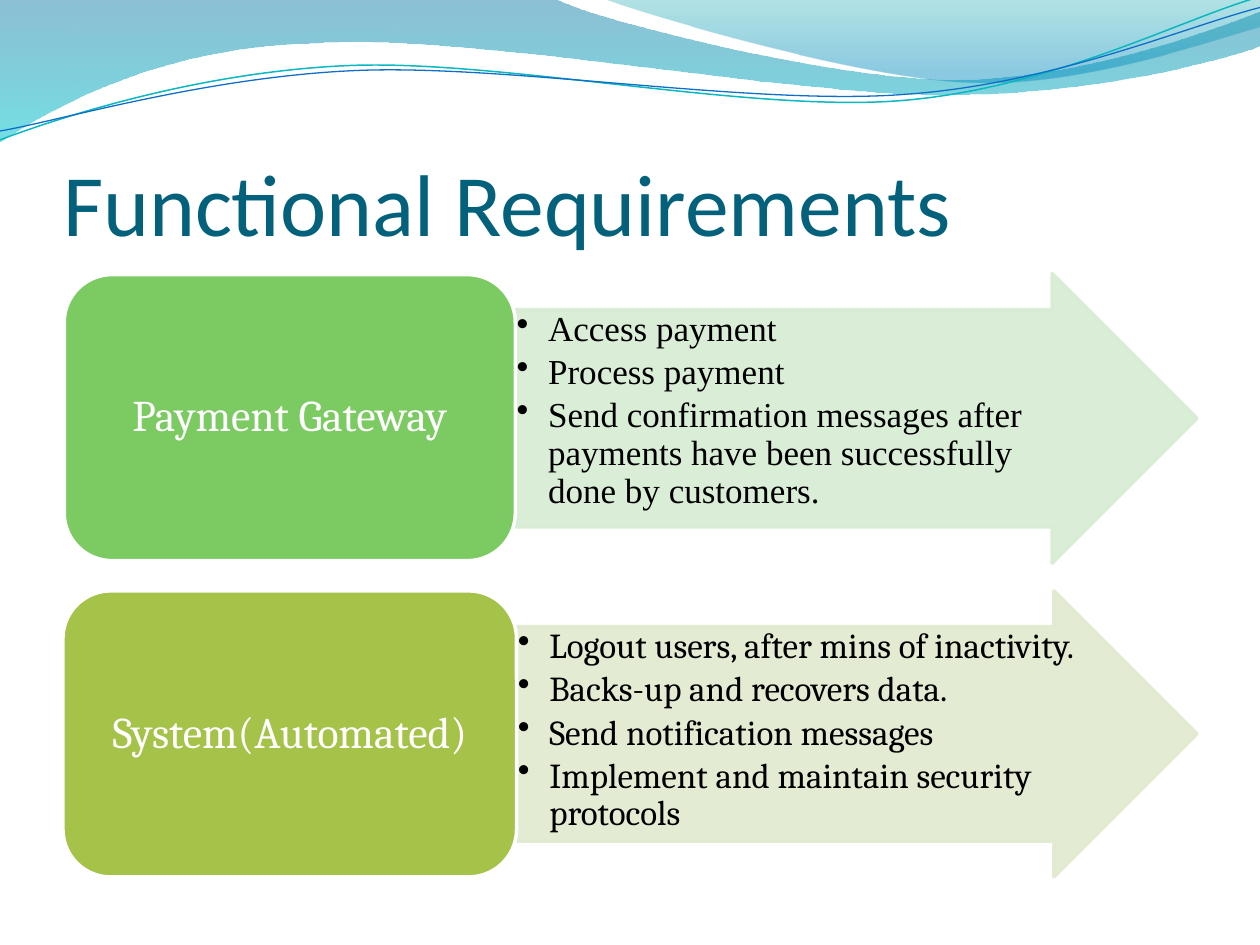
from dataclasses import dataclass
from math import cos, radians, sin

from lxml import etree
from pptx import Presentation
from pptx.dml.color import RGBColor
from pptx.enum.shapes import MSO_SHAPE
from pptx.enum.text import MSO_ANCHOR, PP_ALIGN
from pptx.oxml.ns import qn
from pptx.util import Inches, Pt

ARROW, ROUNDED = MSO_SHAPE.RIGHT_ARROW, MSO_SHAPE.ROUNDED_RECTANGLE
TOP, MIDDLE, BOTTOM = MSO_ANCHOR.TOP, MSO_ANCHOR.MIDDLE, MSO_ANCHOR.BOTTOM
LEFT, CENTER = PP_ALIGN.LEFT, PP_ALIGN.CENTER
STRAND_TILT = -2.7


@dataclass(frozen=True)
class Theme:
    title: str = "04617B"
    body: str = "000000"
    light: str = "FFFFFF"
    teal_line: str = "0AB8BF"
    blue_line: str = "0F6FC6"
    title_font: str = "Calibri"
    label_font: str = "Cambria"
    title_size: float = 50
    label_size: float = 25
    body_size: float = 20
    outline: float = 2


THEME = Theme()

WAVES = [
    ([(0, 0), (4.4, -0.01), (4.76, 0.17, 6.64, 0.63, 7.58, 0.63),
      (8.53, 0.63, 9.58, 0.26, 10, 0.09), (10.01, 0.36),
      (9.83, 0.44, 8.7, 0.76, 7.46, 0.75), (6.22, 0.75, 3.82, 0.28, 2.57, 0.34),
      (1.29, 0.36, 0.46, 0.83, -0.01, 1.13), (0, 0)],
     [(0, "0074A1", 45), (1, "00C6CF", 55)]),
    ([(4.79, -0.01), (5.09, 0.11, 6.82, 0.62, 7.69, 0.65),
      (8.56, 0.69, 9.61, 0.32, 10, 0.21), (10, 0), (4.79, -0.01)],
     [(0, "00A1A9", 30), (0.8, "008BBF", 45)]),
]
STRANDS = [
    ([(0, 1.11), (0.48, 0.93, 1.58, 0.57, 2.77, 0.52),
      (3.95, 0.47, 5.93, 0.89, 7.13, 0.8), (8.33, 0.71, 9.38, 0.15, 9.98, -0.02)],
     (4.99, 0.57), THEME.teal_line, 0.85),
    ([(0, 1.04), (0.47, 0.96, 1.64, 0.61, 2.83, 0.56),
      (4.03, 0.51, 5.97, 0.84, 7.17, 0.75), (8.36, 0.67, 9.41, 0.21, 10, 0.06)],
     (5, 0.59), THEME.blue_line, 0.75),
]
ROWS = [
    dict(label="Payment Gateway", color="7CCA62", tint="D7ECD3", font="Times New Roman",
         block=(0.51, 2.18, 3.58, 2.27), arrow=(4.09, 2.17, 5.41, 2.3),
         items=["Access payment", "Process payment",
                "Send confirmation messages after payments have been "
                "successfully done by customers."]),
    dict(label="System(Automated)", color="A5C249", tint="E1E9CF", font="Cambria",
         block=(0.5, 4.69, 3.6, 2.27), arrow=(4.1, 4.69, 5.4, 2.27),
         items=["Logout users, after mins of inactivity.", "Backs-up and recovers data.",
                "Send notification messages",
                "Implement and maintain security protocols"]),
]


def rgb(value):
    return RGBColor.from_string(value)


def set_alpha(shape, percents):
    for color, percent in zip(shape.element.spPr.iter(qn("a:srgbClr")), percents):
        etree.SubElement(color, qn("a:alpha"), val=str(percent * 1000))


def pairs(segment):
    return list(zip(segment[::2], segment[1::2]))


def turn(segment, center, angle):
    c, s = cos(radians(angle)), sin(radians(angle))
    turned = []
    for x, y in pairs(segment):
        dx, dy = x - center[0], y - center[1]
        turned += [center[0] + dx * c - dy * s, center[1] + dx * s + dy * c]
    return tuple(turned)


def add_curve(page, segments, close):
    points = [(Inches(x), Inches(y)) for segment in segments for x, y in pairs(segment)]
    builder = page.shapes.build_freeform(*points[0], scale=1.0)
    builder.add_line_segments(points[1:], close=close)
    shape = builder.convert_to_shape()
    shape.shadow.inherit = False
    lines = iter(list(shape.element.spPr.iter(qn("a:lnTo"))))
    for segment in segments[1:]:
        steps = [next(lines) for _ in pairs(segment)]
        if len(steps) == 3:
            bend = etree.Element(qn("a:cubicBezTo"))
            steps[0].addprevious(bend)
            for step in steps:
                bend.append(step[0])
                step.getparent().remove(step)
    return shape


def add_wave(page, segments, stops):
    wave = add_curve(page, segments, True)
    wave.line.fill.background()
    wave.fill.gradient()
    wave.fill.gradient_angle = 270
    for stop, (position, color, _) in zip(wave.fill.gradient_stops, stops):
        stop.position = position
        stop.color.rgb = rgb(color)
    set_alpha(wave, [percent for _, _, percent in stops])


def add_strand(page, segments, center, color, width):
    level = [turn(segment, center, -STRAND_TILT) for segment in segments]
    strand = add_curve(page, level, False)
    strand.rotation = STRAND_TILT
    strand.fill.background()
    strand.line.color.rgb = rgb(color)
    strand.line.width = Pt(width)


def add_block(page, kind, box, fill, line):
    shape = page.shapes.add_shape(kind, *map(Inches, box))
    shape.shadow.inherit = False
    shape.fill.solid()
    shape.fill.fore_color.rgb = rgb(fill)
    shape.line.color.rgb = rgb(line)
    shape.line.width = Pt(THEME.outline)
    return shape


def write(shape, lines, *, font, size, color, align=LEFT, anchor=TOP,
          insets=(0, 0, 0, 0), spacing=1.0, after=0, bullet=False):
    frame = shape.text_frame
    frame.word_wrap = True
    frame.vertical_anchor = anchor
    (frame.margin_left, frame.margin_top,
     frame.margin_right, frame.margin_bottom) = map(Inches, insets)
    for index, line in enumerate(lines):
        para = frame.add_paragraph() if index else frame.paragraphs[0]
        para.alignment = align
        para.line_spacing = spacing
        para.space_after = Pt(after)
        span = para.add_run()
        span.text = line
        span.font.name = font
        span.font.size = Pt(size)
        span.font.color.rgb = rgb(color)
        if bullet:
            para.level = 1
            props = para._p.get_or_add_pPr()
            props.set("marL", str(Inches(0.25)))
            props.set("indent", str(-Inches(0.25)))
            etree.SubElement(props, qn("a:buChar"), char="••")


def add_title(page, text):
    title = page.shapes.title
    title.left, title.top, title.width, title.height = map(Inches, (0.5, 0.77, 9, 1.25))
    write(title, [text], font=THEME.title_font, size=THEME.title_size,
          color=THEME.title, anchor=BOTTOM, insets=(0, 0.05, 0, 0))


def add_row(page, label, color, tint, font, block, arrow, items):
    left, top, width, height = arrow
    pointer = add_block(page, ARROW, arrow, tint, tint)
    pointer.adjustments[0], pointer.adjustments[1] = 0.75, 0.5
    set_alpha(pointer, (90, 90))
    text_box = (left, top + 0.29, width - height * 3 / 8, height * 3 / 4)
    write(page.shapes.add_textbox(*map(Inches, text_box)), items, font=font,
          size=THEME.body_size, color=THEME.body, insets=(0.01,) * 4,
          spacing=0.9, after=3, bullet=True)
    add_block(page, ROUNDED, block, color, THEME.light)
    left, top, width, height = block
    label_box = (left + 0.11, top + 0.11, width - 0.22, height - 0.22)
    write(page.shapes.add_textbox(*map(Inches, label_box)), [label],
          font=THEME.label_font, size=THEME.label_size, color=THEME.light,
          align=CENTER, anchor=MIDDLE, insets=(0.1, 0.05, 0.1, 0.05), spacing=0.9)


def main():
    deck = Presentation()
    deck.slide_width, deck.slide_height = Inches(10), Inches(7.5)
    page = deck.slides.add_slide(deck.slide_layouts[5])
    for wave in WAVES:
        add_wave(page, *wave)
    for strand in STRANDS:
        add_strand(page, *strand)
    add_title(page, "Functional Requirements")
    for row in ROWS:
        add_row(page, **row)
    deck.save("out.pptx")


if __name__ == "__main__":
    main()
